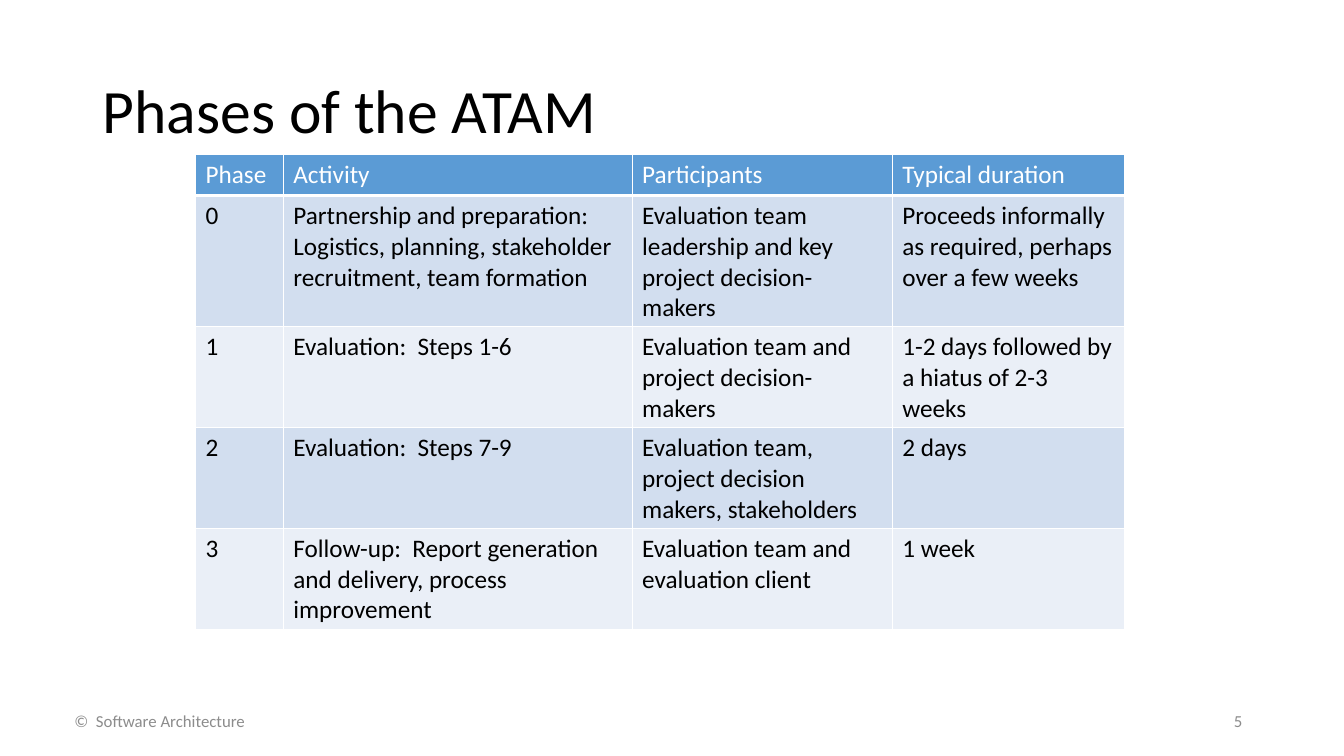
from dataclasses import dataclass

from lxml.etree import SubElement
from pptx import Presentation
from pptx.dml.color import RGBColor
from pptx.enum.text import MSO_ANCHOR as Anchor, PP_ALIGN as Align
from pptx.oxml.ns import qn
from pptx.util import Inches, Pt


@dataclass(frozen=True)
class Theme:
    font: str = "Calibri"
    title_size: int = 44
    table_size: int = 18
    footer_size: int = 12
    ink: str = "000000"
    muted: str = "8C8C8C"
    white: str = "FFFFFF"
    header: str = "5B9BD5"
    bands: tuple = ("D2DEEF", "EAEFF7")
    rule: float = 1
    header_rule: float = 3


class SlideBuilder:
    def __init__(self, deck, theme):
        self.theme = theme
        self.page = deck.slides.add_slide(deck.slide_layouts[5])

    def add_text(self, frame, text, size, color, align=Align.LEFT):
        para = frame.paragraphs[0]
        para.alignment = align
        span = para.add_run()
        span.text = text
        span.font.name = self.theme.font
        span.font.size = Pt(size)
        span.font.bold = False
        span.font.color.rgb = RGBColor.from_string(color)
        return para

    def place(self, box, left, top, width, height):
        box.left, box.top = Inches(left), Inches(top)
        box.width, box.height = Inches(width), Inches(height)

    def title(self, text, *bounds):
        box = self.page.shapes.title
        self.place(box, *bounds)
        box.text_frame.vertical_anchor = Anchor.MIDDLE
        para = self.add_text(box.text_frame, text, self.theme.title_size, self.theme.ink)
        para.line_spacing = 0.9

    def footer(self, text, align, *bounds):
        box = self.page.shapes.add_textbox(*map(Inches, bounds))
        box.text_frame.word_wrap = True
        box.text_frame.vertical_anchor = Anchor.MIDDLE
        self.add_text(box.text_frame, text, self.theme.footer_size, self.theme.muted, align)

    def borders(self, cell, bottom):
        # Border lines must precede the fill in the cell properties
        props = cell._tc.get_or_add_tcPr()
        for side in ("L", "R", "T", "B"):
            width = bottom if side == "B" else self.theme.rule
            line = SubElement(props, qn(f"a:ln{side}"), w=str(Pt(width)))
            fill = SubElement(line, qn("a:solidFill"))
            SubElement(fill, qn("a:srgbClr"), val=self.theme.white)

    def table(self, rows, widths, row_height, left, top, height):
        theme = self.theme
        bounds = (left, top, sum(widths), height)
        frame = self.page.shapes.add_table(len(rows), len(widths), *map(Inches, bounds))
        table = frame.table
        for column, width in zip(table.columns, widths):
            column.width = Inches(width)
        for r, texts in enumerate(rows):
            # Rows grow from this minimum to fit their text
            table.rows[r].height = Inches(row_height)
            is_header = r == 0
            fill = theme.header if is_header else theme.bands[(r - 1) % 2]
            color = theme.white if is_header else theme.ink
            for c, text in enumerate(texts):
                cell = table.cell(r, c)
                self.borders(cell, theme.header_rule if is_header else theme.rule)
                cell.fill.solid()
                cell.fill.fore_color.rgb = RGBColor.from_string(fill)
                self.add_text(cell.text_frame, text, theme.table_size, color)
        frame.height = Inches(height)


PHASES = [
    ("Phase", "Activity", "Participants", "Typical duration"),
    ("0",
     "Partnership and preparation:  Logistics, planning, stakeholder recruitment, team formation",
     "Evaluation team leadership and key project decision-makers",
     "Proceeds informally as required, perhaps over a few weeks"),
    ("1", "Evaluation:  Steps 1-6",
     "Evaluation team and project decision-makers",
     "1-2 days followed by a hiatus of 2-3 weeks"),
    ("2", "Evaluation:  Steps 7-9",
     "Evaluation team, project decision makers, stakeholders", "2 days"),
    ("3", "Follow-up:  Report generation and delivery, process improvement",
     "Evaluation team and evaluation client", "1 week"),
]


def main():
    deck = Presentation()
    deck.slide_width, deck.slide_height = Inches(13.33), Inches(7.5)
    slide = SlideBuilder(deck, Theme())

    # Title
    slide.title("Phases of the ATAM", 0.92, 0.4, 11.5, 1.45)

    # Footer
    slide.footer("5", Align.RIGHT, 9.42, 6.95, 3, 0.4)
    slide.footer("©  Software Architecture", Align.CENTER, 0, 6.95, 3.17, 0.4)

    # Phase table
    slide.table(PHASES, widths=(0.87, 3.46, 2.58, 2.3), row_height=0.41,
                left=1.94, top=1.53, height=4.71)

    deck.save("out.pptx")


if __name__ == "__main__":
    main()
